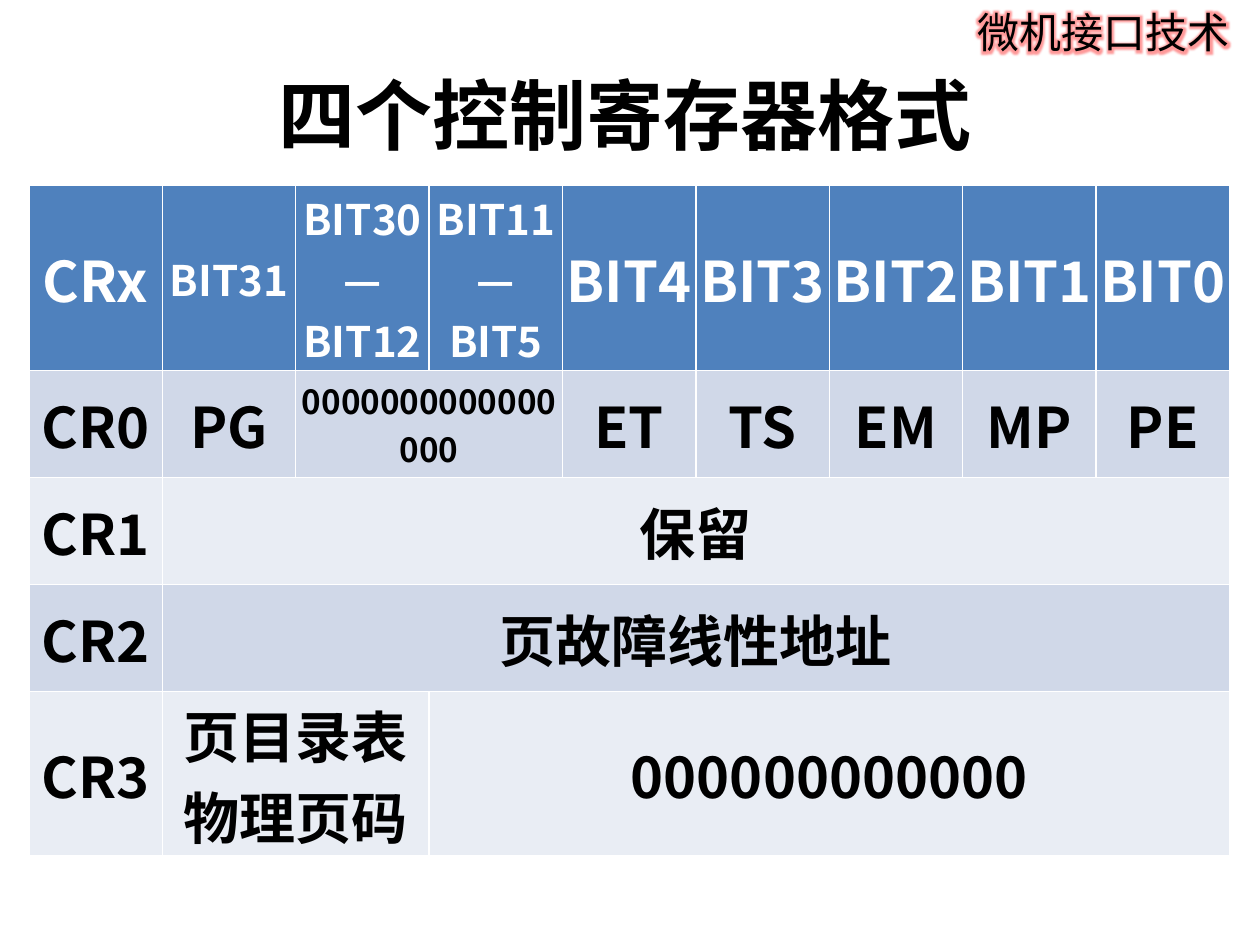
"""Build the slide on the format of the four control registers."""
from lxml.etree import SubElement, fromstring
from pptx import Presentation
from pptx.dml.color import RGBColor
from pptx.enum.text import MSO_ANCHOR, PP_ALIGN
from pptx.oxml.ns import nsdecls, qn
from pptx.util import Inches, Pt

FONT = "Noto Sans CJK SC"
BLACK = RGBColor(0x00, 0x00, 0x00)
WHITE = RGBColor(0xFF, 0xFF, 0xFF)
BLUE = RGBColor(0x4F, 0x81, 0xBD)
BANDS = RGBColor(0xD0, 0xD8, 0xE8), RGBColor(0xE9, 0xED, 0xF4)
GLOW = RGBColor(0xFF, 0x00, 0x00)

COURSE = "微机接口技术"
TITLE = "四个控制寄存器格式"
COLUMNS = 9
REGISTERS = [
    [("CRx", 1), ("BIT31", 1), ("BIT30—BIT12", 1), ("BIT11—BIT5", 1),
     ("BIT4", 1), ("BIT3", 1), ("BIT2", 1), ("BIT1", 1), ("BIT0", 1)],
    [("CR0", 1), ("PG", 1), ("0000000000000000", 2),
     ("ET", 1), ("TS", 1), ("EM", 1), ("MP", 1), ("PE", 1)],
    [("CR1", 1), ("保留", 8)],
    [("CR2", 1), ("页故障线性地址", 8)],
    [("CR3", 1), ("页目录表物理页码", 2), ("000000000000", 6)],
]
SMALL_SIZES = {"BIT31": 24, "BIT30—BIT12": 24, "BIT11—BIT5": 24, "0000000000000000": 19}
ROW_HEIGHTS = [1.47, 0.85, 0.85, 0.85, 1.3]
TABLE_LEFT, TABLE_TOP, TABLE_WIDTH = 0.23, 1.47, 9.53


def write(frame, text, size=32, color=BLACK, bold=True, align=PP_ALIGN.CENTER, font=FONT):
    frame.word_wrap = True
    paragraph = frame.paragraphs[0]
    paragraph.alignment = align
    run = paragraph.add_run()
    run.text = text
    run.font.size, run.font.bold, run.font.name = Pt(size), bold, font
    run.font.color.rgb = color
    properties = run.font._element
    SubElement(properties, qn("a:ea")).set("typeface", FONT)
    return properties


def add_text(slide, box, text, **text_format):
    frame = slide.shapes.add_textbox(*map(Inches, box)).text_frame
    frame.vertical_anchor = MSO_ANCHOR.MIDDLE
    return write(frame, text, **text_format)


def add_glow(properties, radius):
    glow = fromstring(
        f'<a:effectLst {nsdecls("a")}><a:glow rad="{Pt(radius)}"><a:srgbClr val="{GLOW}">'
        '<a:alpha val="40000"/></a:srgbClr></a:glow></a:effectLst>')
    properties.find(qn("a:solidFill")).addnext(glow)


def style_cell(cell, fill):
    cell.fill.solid()
    cell.fill.fore_color.rgb = fill
    cell.vertical_anchor = MSO_ANCHOR.MIDDLE
    cell.margin_left = cell.margin_right = Inches(0.01)
    cell.margin_top = cell.margin_bottom = Inches(0.01)
    properties = cell._tc.get_or_add_tcPr()
    for index, side in enumerate("LRTB"):
        properties.insert(index, fromstring(
            f'<a:ln{side} {nsdecls("a")} w="{Pt(1)}"><a:solidFill>'
            f'<a:srgbClr val="{WHITE}"/></a:solidFill></a:ln{side}>'))


def add_register_table(slide):
    table = slide.shapes.add_table(
        len(REGISTERS), COLUMNS, Inches(TABLE_LEFT), Inches(TABLE_TOP),
        Inches(TABLE_WIDTH), Inches(sum(ROW_HEIGHTS))).table
    for column in table.columns:
        column.width = Inches(TABLE_WIDTH / COLUMNS)
    for row, (fields, height) in enumerate(zip(REGISTERS, ROW_HEIGHTS)):
        header = row == 0
        table.rows[row].height = Inches(height)
        for column in range(COLUMNS):
            style_cell(table.cell(row, column), BLUE if header else BANDS[(row - 1) % 2])
        start = 0
        for text, span in fields:
            cell = table.cell(row, start)
            if span > 1:
                cell.merge(table.cell(row, start + span - 1))
            write(cell.text_frame, text, size=SMALL_SIZES.get(text, 32),
                  color=WHITE if header else BLACK)
            start += span


def main():
    presentation = Presentation()
    presentation.slide_width, presentation.slide_height = Inches(10), Inches(7.5)
    slide = presentation.slides.add_slide(presentation.slide_layouts[6])
    course = add_text(slide, (7.66, 0, 2.34, 0.5), COURSE,
                      size=24, bold=False, align=PP_ALIGN.LEFT)
    add_glow(course, 8)
    add_text(slide, (0.55, 0.4, 8.83, 1), TITLE, size=44, font="Calibri")
    add_register_table(slide)
    presentation.save("out.pptx")


if __name__ == "__main__":
    main()
